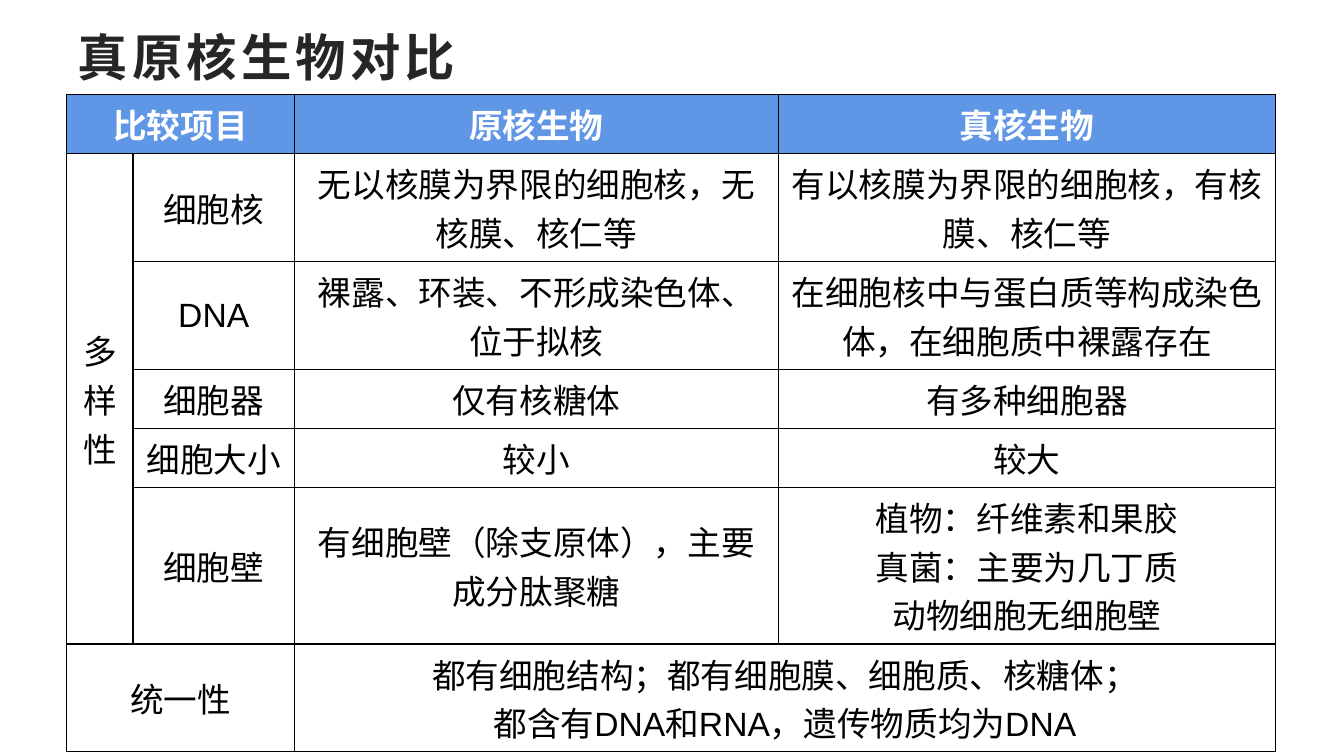
"""Build a slide with a table that compares prokaryotes and eukaryotes."""
from dataclasses import dataclass
from typing import Any

from lxml.etree import SubElement
from pptx import Presentation
from pptx.dml.color import RGBColor
from pptx.enum.text import MSO_ANCHOR, PP_ALIGN
from pptx.oxml.ns import qn
from pptx.util import Inches, Pt

WHITE = RGBColor(0xFF, 0xFF, 0xFF)
BLACK = RGBColor(0x00, 0x00, 0x00)
CHARCOAL = RGBColor(0x26, 0x26, 0x26)
BLUE = RGBColor(0x60, 0x96, 0xE6)

TITLE_FORMAT = {"name": "Arial", "size": Pt(36), "bold": True}
HEADER_FORMAT = {"name": "Arial", "size": Pt(24), "bold": True}
BODY_FORMAT = {"name": "Arial", "size": Pt(24), "bold": False}

COLUMN_WIDTHS = (0.66, 1.6, 4.8, 4.93)
ROW_LINES = (1, 2, 2, 1, 1, 3, 2)
LINE_HEIGHT = 0.485
ROW_MARGIN = 0.1


@dataclass(frozen=True)
class Entry:
    row: int
    column: int
    text: str
    row_span: int = 1
    column_span: int = 1


COMPARISON = (
    ("细胞核", "无以核膜为界限的细胞核，无核膜、核仁等", "有以核膜为界限的细胞核，有核膜、核仁等"),
    ("DNA", "裸露、环装、不形成染色体、位于拟核",
     "在细胞核中与蛋白质等构成染色体，在细胞质中裸露存在"),
    ("细胞器", "仅有核糖体", "有多种细胞器"),
    ("细胞大小", "较小", "较大"),
    ("细胞壁", "有细胞壁（除支原体），主要成分肽聚糖",
     "植物：纤维素和果胶\n真菌：主要为几丁质\n动物细胞无细胞壁"),
)

ENTRIES = (
    Entry(0, 0, "比较项目", column_span=2),
    Entry(0, 2, "原核生物"),
    Entry(0, 3, "真核生物"),
    Entry(1, 0, "多样性", row_span=5),
    *(Entry(row, column, text)
      for row, texts in enumerate(COMPARISON, 1)
      for column, text in enumerate(texts, 1)),
    Entry(6, 0, "统一性", column_span=2),
    Entry(6, 2, "都有细胞结构；都有细胞膜、细胞质、核糖体；\n都含有DNA和RNA，遗传物质均为DNA",
          column_span=2),
)


def format_font(font: Any, values: dict[str, Any], color: RGBColor) -> None:
    for name, value in values.items():
        setattr(font, name, value)
    font.color.rgb = color


def add_title(page: Any) -> None:
    title = page.shapes.title
    title.left, title.top = Inches(0.67), Inches(0.17)
    title.width, title.height = Inches(12), Inches(0.77)
    title.text_frame.text = "真原核生物对比"
    title.text_frame.vertical_anchor = MSO_ANCHOR.MIDDLE
    para = title.text_frame.paragraphs[0]
    para.alignment = PP_ALIGN.LEFT
    span = para.runs[0]
    format_font(span.font, TITLE_FORMAT, CHARCOAL)
    span._r.get_or_add_rPr().set("spc", "300")


def style_cell(cell: Any, is_header: bool) -> None:
    properties = cell._tc.get_or_add_tcPr()
    for side in ("a:lnL", "a:lnR", "a:lnT", "a:lnB"):
        border = SubElement(properties, qn(side), w=str(Pt(1)))
        fill = SubElement(border, qn("a:solidFill"))
        SubElement(fill, qn("a:srgbClr"), val=str(BLACK))
    cell.fill.solid()
    cell.fill.fore_color.rgb = BLUE if is_header else WHITE
    cell.vertical_anchor = MSO_ANCHOR.MIDDLE


def write_entry(table: Any, entry: Entry) -> None:
    cell = table.cell(entry.row, entry.column)
    if entry.row_span > 1 or entry.column_span > 1:
        cell.merge(table.cell(entry.row + entry.row_span - 1,
                              entry.column + entry.column_span - 1))
    cell.text_frame.text = entry.text
    is_header = entry.row == 0
    for para in cell.text_frame.paragraphs:
        para.alignment = PP_ALIGN.CENTER
        for span in para.runs:
            format_font(span.font, HEADER_FORMAT if is_header else BODY_FORMAT,
                        WHITE if is_header else BLACK)


def add_comparison(page: Any) -> None:
    heights = [ROW_MARGIN + LINE_HEIGHT * lines for lines in ROW_LINES]
    table = page.shapes.add_table(
        len(heights), len(COLUMN_WIDTHS), Inches(0.66), Inches(0.94),
        Inches(sum(COLUMN_WIDTHS)), Inches(sum(heights))).table
    for column, width in zip(table.columns, COLUMN_WIDTHS):
        column.width = Inches(width)
    for index, (row, height) in enumerate(zip(table.rows, heights)):
        row.height = Inches(height)
        for cell in row.cells:
            style_cell(cell, index == 0)
    for entry in ENTRIES:
        write_entry(table, entry)


def main() -> None:
    deck = Presentation()
    deck.slide_width, deck.slide_height = Inches(13.33), Inches(7.5)
    page = deck.slides.add_slide(deck.slide_layouts[5])
    add_title(page)
    add_comparison(page)
    deck.save("out.pptx")


if __name__ == "__main__":
    main()
